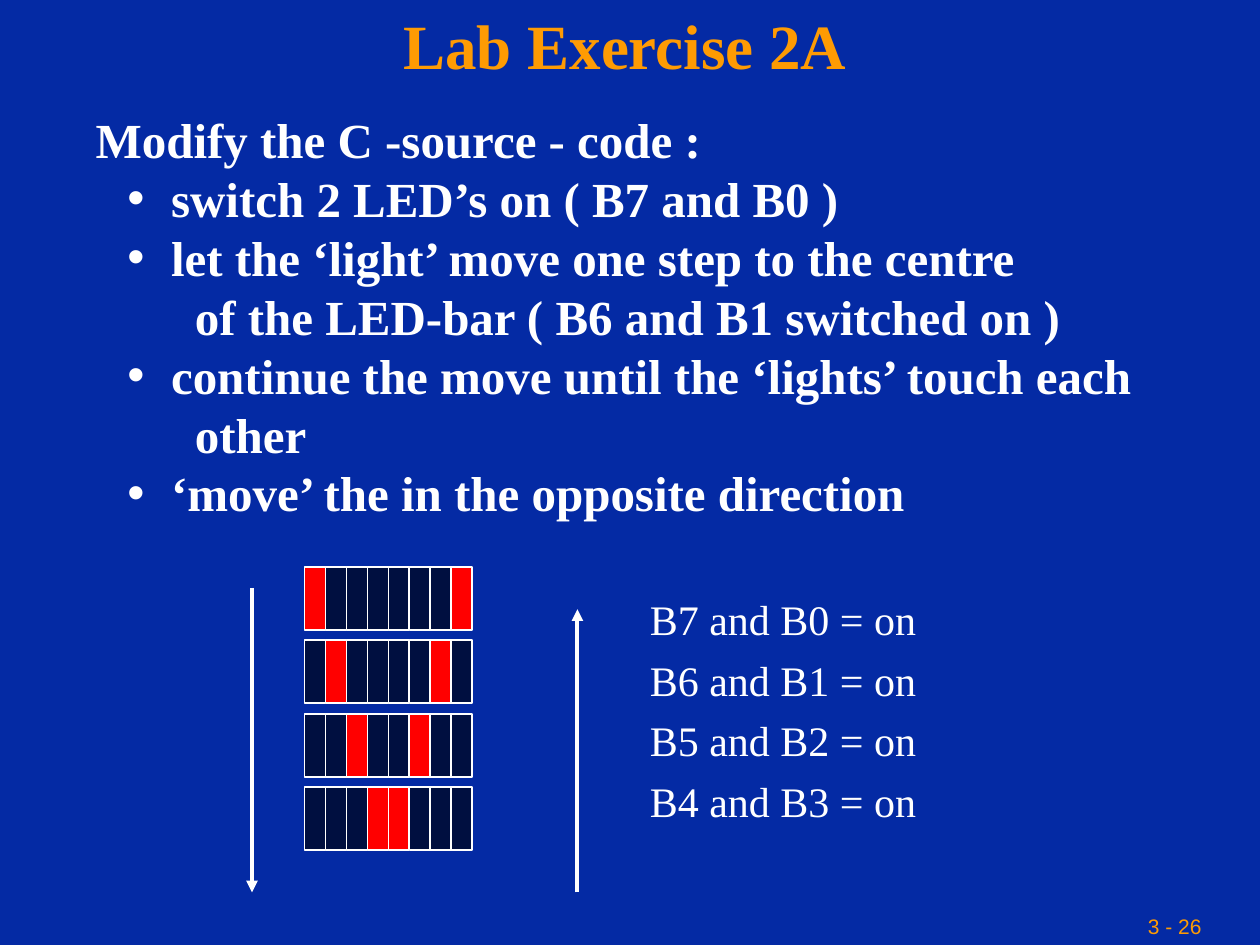
from pptx import Presentation
from pptx.dml.color import RGBColor
from pptx.enum.shapes import MSO_CONNECTOR, MSO_SHAPE
from pptx.enum.text import PP_ALIGN
from pptx.oxml.ns import qn
from pptx.util import Cm, Pt
from lxml.etree import SubElement


def rgb(color):
    return RGBColor.from_string(color)


def add_text(text, x, y, w, h, size=24, font="Times New Roman", color="FFFFFF", bold=False,
             align=PP_ALIGN.LEFT, spacing=1.0, indents=None):
    tf = s.shapes.add_textbox(Cm(x), Cm(y), Cm(w), Cm(h)).text_frame
    tf.word_wrap = True
    for i, line in enumerate(text.split("\n")):
        p = tf.paragraphs[0] if i == 0 else tf.add_paragraph()
        p.alignment = align
        p.line_spacing = spacing
        if indents and indents[i]:
            left, first = indents[i]
            pPr = p._p.get_or_add_pPr()
            pPr.set("marL", str(Cm(left)))
            pPr.set("indent", str(Cm(first)))
            if first:
                SubElement(pPr, qn("a:buFont")).set("typeface", "Arial")
                SubElement(pPr, qn("a:buChar")).set("char", "•")
        r = p.add_run()
        r.text = line
        r.font.size = Pt(size)
        r.font.name = font
        r.font.bold = bold
        r.font.color.rgb = rgb(color)


prs = Presentation()
prs.slide_width, prs.slide_height = Cm(25.4), Cm(19.05)
s = prs.slides.add_slide(prs.slide_layouts[6])
s.background.fill.solid()
s.background.fill.fore_color.rgb = rgb("042AA4")

add_text("3 - 26", 22.89, 18.29, 3.05, 0.76, size=12, font="Arial", color="FE9B03")
add_text("Lab Exercise 2A", 0, 0, 25.2, 2.11, size=36, color="FE9B03", bold=True,
         align=PP_ALIGN.CENTER)

bullet, hanging = (1.52, -0.88), (2.0, 0)
task = [
    ("Modify the C -source - code :", None),
    ("switch 2 LED’s on ( B7 and B0 )", bullet),
    ("let the ‘light’ move one step to the centre", bullet),
    ("of the LED-bar ( B6 and B1 switched on )", hanging),
    ("continue the move until the ‘lights’ touch each", bullet),
    ("other", hanging),
    ("‘move’ the in the opposite direction", bullet),
]
add_text("\n".join(line for line, _ in task), 1.68, 2.09, 22.6, 8.56, size=28, bold=True,
         indents=[indent for _, indent in task])

led_w = 3.38 / 8
for row in range(4):
    for col in range(8):
        sp = s.shapes.add_shape(MSO_SHAPE.RECTANGLE, Cm(6.14 + col * led_w),
                                Cm(11.43 + row * 1.48), Cm(led_w), Cm(1.27))
        sp.shadow.inherit = False
        sp.fill.solid()
        sp.fill.fore_color.rgb = rgb("FF0000" if col in (row, 7 - row) else "000F40")
        sp.line.color.rgb = rgb("FFFFFF")
        sp.line.width = Pt(1)

for x, y1, y2 in [(5.08, 11.85, 17.99), (11.64, 17.99, 12.28)]:
    arrow = s.shapes.add_connector(MSO_CONNECTOR.STRAIGHT, Cm(x), Cm(y1), Cm(x), Cm(y2))
    arrow.line.color.rgb = rgb("FFFFFF")
    arrow.line.width = Pt(2.25)
    SubElement(arrow.line._get_or_add_ln(), qn("a:tailEnd")).set("type", "triangle")
    SubElement(arrow._element.spPr, qn("a:effectLst"))

states = "\n".join(f"B{7 - n} and B{n} = on" for n in range(4))
add_text(states, 12.85, 11.64, 5.87, 6.15, align=PP_ALIGN.CENTER, spacing=1.2)

prs.save("out.pptx")
